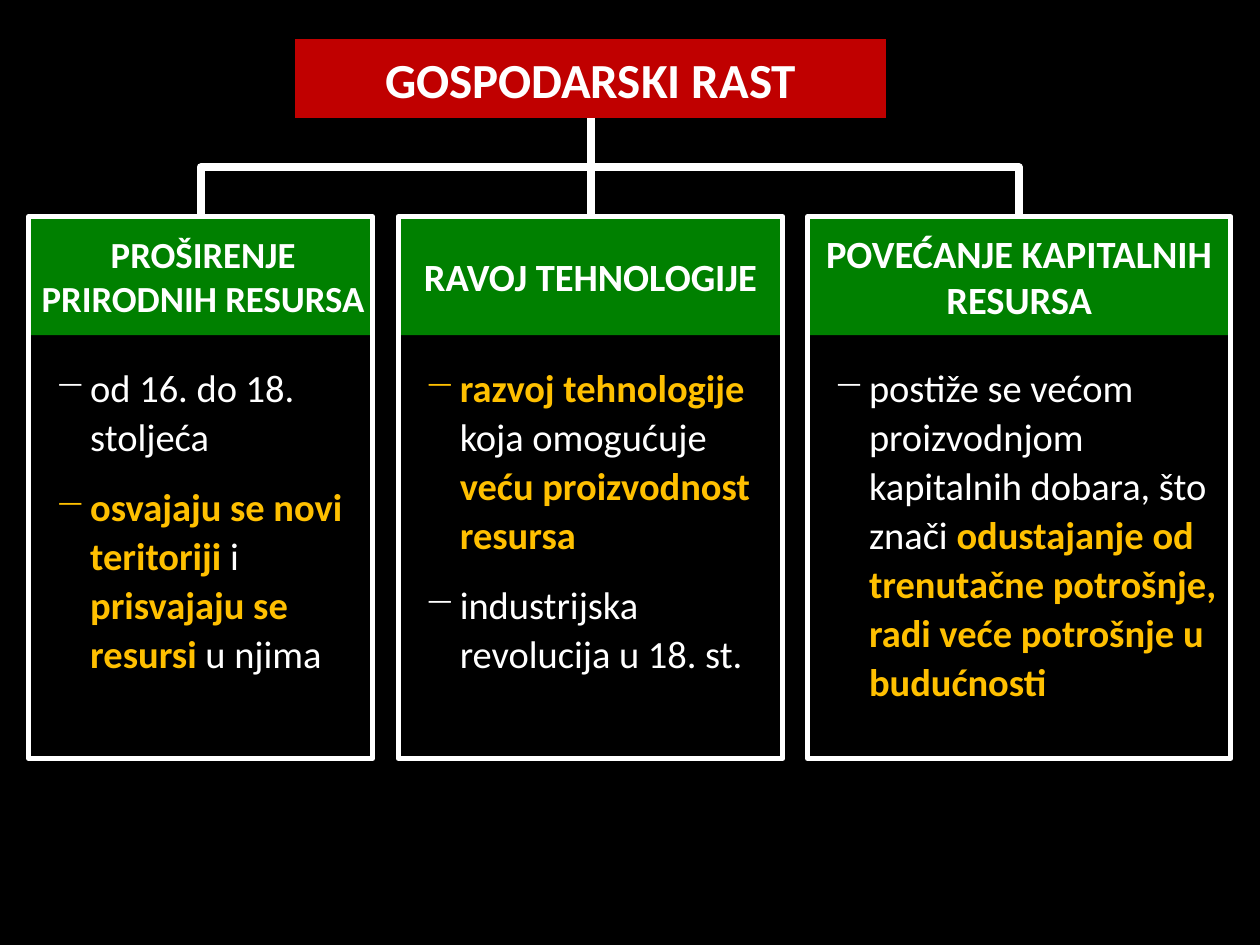
from dataclasses import dataclass

from lxml import etree
from pptx import Presentation
from pptx import util as u
from pptx.dml.color import RGBColor
from pptx.enum import shapes, text
from pptx.oxml.ns import qn


@dataclass(frozen=True)
class Theme:
    font: str = "Calibri"
    back: RGBColor = RGBColor(0, 0, 0)
    plain: RGBColor = RGBColor(255, 255, 255)
    accent: RGBColor = RGBColor(255, 192, 0)
    red: RGBColor = RGBColor(192, 0, 0)
    green: RGBColor = RGBColor(0, 128, 0)
    title: int = 28
    label: int = 22
    tight: int = 21
    body: int = 22
    border: float = 3
    branch: float = 4.5


THEME = Theme()
TOP, LABEL_H, PANEL_H = 4.37, 2.39, 10.92

# left, width, label, label size, points; a point is a list of (text, stressed)
COLUMNS = [
    (0.58, 6.93, "PROŠIRENJE PRIRODNIH RESURSA", THEME.tight, [
        [("od 16. do 18. stoljeća", False)],
        [("osvajaju se novi teritoriji ", True), ("i ", False),
         ("prisvajaju se resursi ", True), ("u njima", False)],
    ]),
    (8.03, 7.75, "RAVOJ TEHNOLOGIJE", THEME.label, [
        [("razvoj tehnologije ", True), ("koja omogućuje ", False),
         ("veću proizvodnost resursa", True)],
        [("industrijska revolucija u 18. st.", False)],
    ]),
    (16.28, 8.53, "POVEĆANJE KAPITALNIH RESURSA", THEME.label, [
        [("postiže se većom proizvodnjom kapitalnih dobara, što znači ", False),
         ("odustajanje od trenutačne potrošnje, "
          "radi veće potrošnje u budućnosti", True)],
    ]),
]


def style(run, size, color, bold):
    font = run.font
    font.name, font.size, font.bold = THEME.font, u.Pt(size), bold
    font.color.rgb = color


def add_box(slide, left, top, width, height):
    box = slide.shapes.add_shape(
        shapes.MSO_SHAPE.RECTANGLE, *map(u.Cm, (left, top, width, height)))
    box.shadow.inherit = False
    box.text_frame.word_wrap = True
    return box


def add_label(slide, area, words, size, fill):
    box = add_box(slide, *area)
    box.fill.solid()
    box.fill.fore_color.rgb = fill
    box.line.fill.background()
    frame = box.text_frame
    frame.text = words
    frame.vertical_anchor = text.MSO_ANCHOR.MIDDLE
    para = frame.paragraphs[0]
    para.alignment = text.PP_ALIGN.CENTER
    style(para.runs[0], size, THEME.plain, True)
    return box


def add_dash(para):
    """Give the paragraph a hanging dash bullet."""
    props = para._p.get_or_add_pPr()
    props.set("marL", str(u.Cm(0.99)))
    props.set("indent", str(u.Cm(-0.71)))
    etree.SubElement(props, qn("a:buChar")).set("char", "−")


def add_panel(slide, area, points):
    box = add_box(slide, *area)
    box.fill.background()
    box.line.color.rgb = THEME.plain
    box.line.width = u.Pt(THEME.border)
    frame = box.text_frame
    frame.vertical_anchor = text.MSO_ANCHOR.TOP
    frame.margin_top = u.Cm(2.91)
    for i, point in enumerate(points):
        para = frame.add_paragraph() if i else frame.paragraphs[0]
        add_dash(para)
        para.alignment = text.PP_ALIGN.LEFT
        para.line_spacing = u.Pt(28)
        if i:
            para.space_before = u.Pt(12)
        for words, stress in point:
            run = para.add_run()
            run.text = words
            style(run, THEME.body, THEME.accent if stress else THEME.plain, stress)
    return box


def add_branch(slide, head, panel):
    """Join the head's bottom to the panel's top, bending halfway down."""
    x1, x2 = (box.left + box.width // 2 for box in (head, panel))
    y1, y2 = head.top + head.height, panel.top
    span, drop = abs(x2 - x1), y2 - y1
    bent = span > u.Cm(0.05)
    kind = shapes.MSO_CONNECTOR.ELBOW if bent else shapes.MSO_CONNECTOR.STRAIGHT
    line = slide.shapes.add_connector(kind, x1, y1, x2, y2)
    line.begin_connect(head, 2)
    line.end_connect(panel, 0)
    props = line.element.spPr
    if bent:
        # An elbow leaves sideways by default, so it is turned upright.
        line.left, line.top = (x1 + x2 - drop) // 2, (y1 + y2 - span) // 2
        line.width, line.height = drop, span
        right = x2 > x1
        frame = props.find(qn("a:xfrm"))
        frame.set("rot", str((270 if right else 90) * 60000))
        frame.set("flipH", "1" if right else "0")
    line.line.color.rgb = THEME.plain
    line.line.width = u.Pt(THEME.branch)
    etree.SubElement(props, qn("a:effectLst"))


def main():
    deck = Presentation()
    deck.slide_width, deck.slide_height = u.Cm(25.4), u.Cm(19.05)
    slide = deck.slides.add_slide(deck.slide_layouts[6])
    slide.background.fill.solid()
    slide.background.fill.fore_color.rgb = THEME.back

    head = add_label(slide, (5.95, 0.79, 11.91, 1.59), "GOSPODARSKI RAST",
                     THEME.title, THEME.red)
    panels = []
    for left, width, words, size, points in COLUMNS:
        label = add_label(slide, (left, TOP, width, LABEL_H), words, size, THEME.green)
        if size == THEME.tight:
            label.text_frame.margin_left = u.Cm(0.1)
            label.text_frame.margin_right = 0
        panels.append(add_panel(slide, (left, TOP, width, PANEL_H), points))
    for panel in panels:
        add_branch(slide, head, panel)
    deck.save("out.pptx")


if __name__ == "__main__":
    main()
